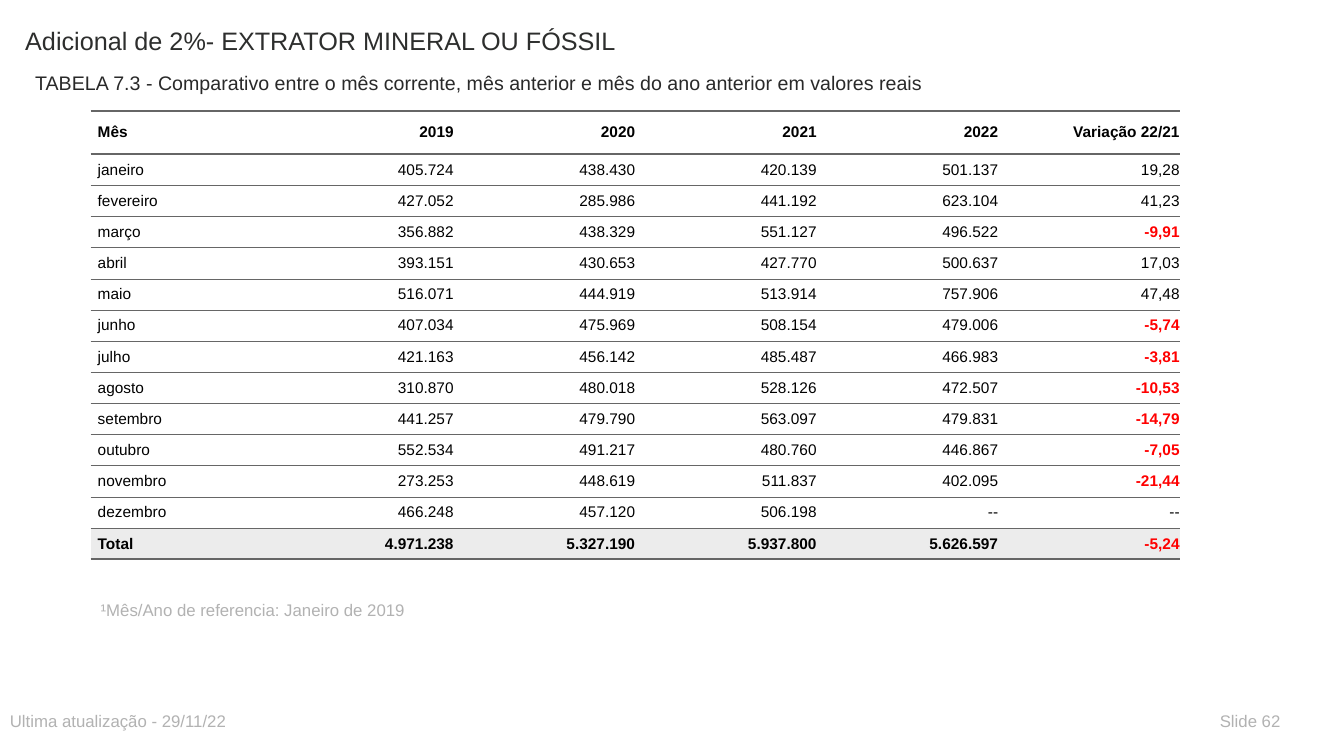
import pptx
import pptx.dml.color
import pptx.enum.text
import pptx.oxml.ns
import pptx.util
from lxml import etree

Inches, Pt = pptx.util.Inches, pptx.util.Pt
ALIGN = pptx.enum.text.PP_ALIGN
ANCHOR = pptx.enum.text.MSO_ANCHOR

FONT = "Arial"
BLACK, RED, WHITE = "000000", "FF0000", "FFFFFF"
RULE, TOTAL_FILL, MUTED = "666666", "ECECEC", "B2B2B2"
THICK, THIN = 2, 0.5

# text, (left, top, width, height), size, colour
TITLE = ("Adicional de 2%- EXTRATOR MINERAL OU FÓSSIL", (0.15, 0.2, 8, 0.59), 18, "2D2E2D")
TEXTS = [
    ("TABELA 7.3 - Comparativo entre o mês corrente, mês anterior e mês do ano anterior em valores reais",
     (0.25, 0.65, 10, 0.3), 14, "292929"),
    ("¹Mês/Ano de referencia: Janeiro de 2019", (0.9, 5.9, 6.5, 0.3), 12, MUTED),
    ("Ultima atualização - 29/11/22", (0, 7, 6.5, 0.3), 12, MUTED),
    ("Slide 62", (12, 7, 0.9, 0.3), 12, MUTED),
]
ROWS = [
    ("Mês", "2019", "2020", "2021", "2022", "Variação 22/21"),
    ("janeiro", "405.724", "438.430", "420.139", "501.137", "19,28"),
    ("fevereiro", "427.052", "285.986", "441.192", "623.104", "41,23"),
    ("março", "356.882", "438.329", "551.127", "496.522", "-9,91"),
    ("abril", "393.151", "430.653", "427.770", "500.637", "17,03"),
    ("maio", "516.071", "444.919", "513.914", "757.906", "47,48"),
    ("junho", "407.034", "475.969", "508.154", "479.006", "-5,74"),
    ("julho", "421.163", "456.142", "485.487", "466.983", "-3,81"),
    ("agosto", "310.870", "480.018", "528.126", "472.507", "-10,53"),
    ("setembro", "441.257", "479.790", "563.097", "479.831", "-14,79"),
    ("outubro", "552.534", "491.217", "480.760", "446.867", "-7,05"),
    ("novembro", "273.253", "448.619", "511.837", "402.095", "-21,44"),
    ("dezembro", "466.248", "457.120", "506.198", "--", "--"),
    ("Total", "4.971.238", "5.327.190", "5.937.800", "5.626.597", "-5,24"),
]
LEFT, TOP, COL_W, HEAD_H, ROW_H = 0.9, 1.1, 1.8, 0.43, 0.25


def rgb(color):
    return pptx.dml.color.RGBColor.from_string(color)


def style_run(p, size, color, bold=False):
    font = p.runs[0].font
    font.name, font.size, font.bold = FONT, Pt(size), bold
    font.color.rgb = rgb(color)


def fill_text(sp, text, box, size, color):
    sp.left, sp.top, sp.width, sp.height = map(Inches, box)
    tf = sp.text_frame
    tf.text = text
    tf.word_wrap = True
    tf.auto_size = pptx.enum.text.MSO_AUTO_SIZE.NONE
    tf.vertical_anchor = ANCHOR.TOP
    tf.paragraphs[0].alignment = ALIGN.LEFT
    style_run(tf.paragraphs[0], size, color)


def set_borders(cell, top, bottom):
    """Draw the rules above and below a cell and hide its sides."""
    tc_pr = cell._tc.get_or_add_tcPr()
    qn = pptx.oxml.ns.qn
    for side, width in (("L", 0), ("R", 0), ("T", top), ("B", bottom)):
        ln = etree.SubElement(tc_pr, qn(f"a:ln{side}"), w=str(int(Pt(width))))
        if width:
            solid = etree.SubElement(ln, qn("a:solidFill"))
            etree.SubElement(solid, qn("a:srgbClr"), val=RULE)
        else:
            etree.SubElement(ln, qn("a:noFill"))


def fill_cell(cell, text, row, col):
    last = len(ROWS) - 1
    set_borders(cell, THICK if row <= 1 else THIN, THICK if row in (0, last) else THIN)
    cell.fill.solid()
    cell.fill.fore_color.rgb = rgb(TOTAL_FILL if row == last else WHITE)
    cell.margin_left = cell.margin_right = 0
    cell.margin_top = cell.margin_bottom = Pt(5)
    cell.vertical_anchor = ANCHOR.MIDDLE
    p = cell.text_frame.paragraphs[0]
    p.text = text
    p.alignment = ALIGN.RIGHT if col else ALIGN.LEFT
    p.space_after = Pt(5)
    p._p.get_or_add_pPr().set("marL", str(int(Pt(5))))
    negative = text.startswith("-") and text != "--"
    style_run(p, 11, RED if negative else BLACK, negative or row in (0, last))


def add_month_table(slide):
    cols = len(ROWS[0])
    height = HEAD_H + ROW_H * (len(ROWS) - 1)
    frame = slide.shapes.add_table(len(ROWS), cols, Inches(LEFT), Inches(TOP),
                                   Inches(COL_W * cols), Inches(height))
    table = frame.table
    table.first_row = table.horz_banding = False
    for r, values in enumerate(ROWS):
        table.rows[r].height = Inches(ROW_H if r else HEAD_H)
        for c, text in enumerate(values):
            fill_cell(table.cell(r, c), text, r, c)


def main():
    prs = pptx.Presentation()
    prs.slide_width, prs.slide_height = Inches(13.33), Inches(7.5)
    slide = prs.slides.add_slide(prs.slide_layouts[5])
    fill_text(slide.shapes.title, *TITLE)
    for text, box, size, color in TEXTS:
        fill_text(slide.shapes.add_textbox(*map(Inches, box)), text, box, size, color)
    add_month_table(slide)
    prs.save("out.pptx")


if __name__ == "__main__":
    main()
